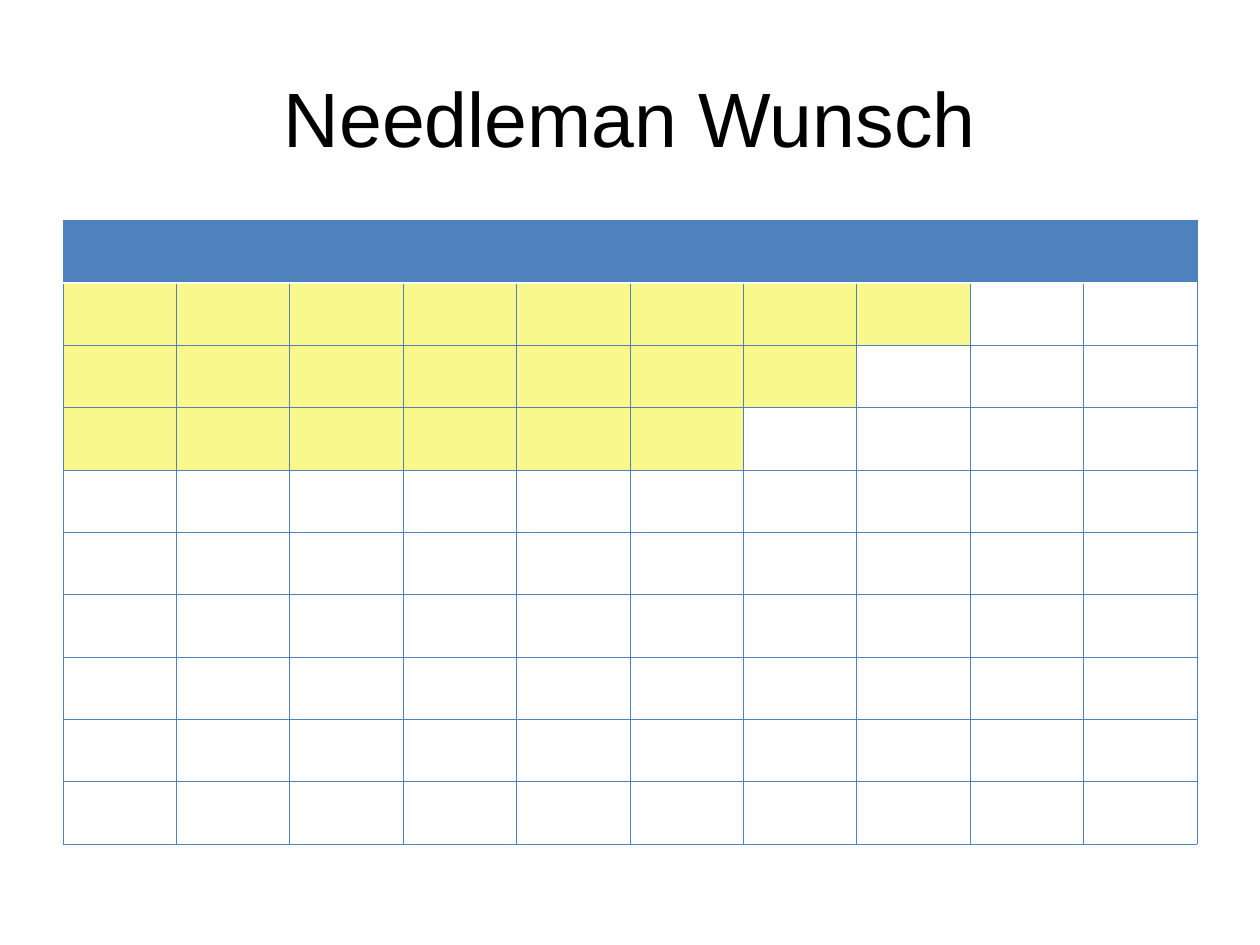
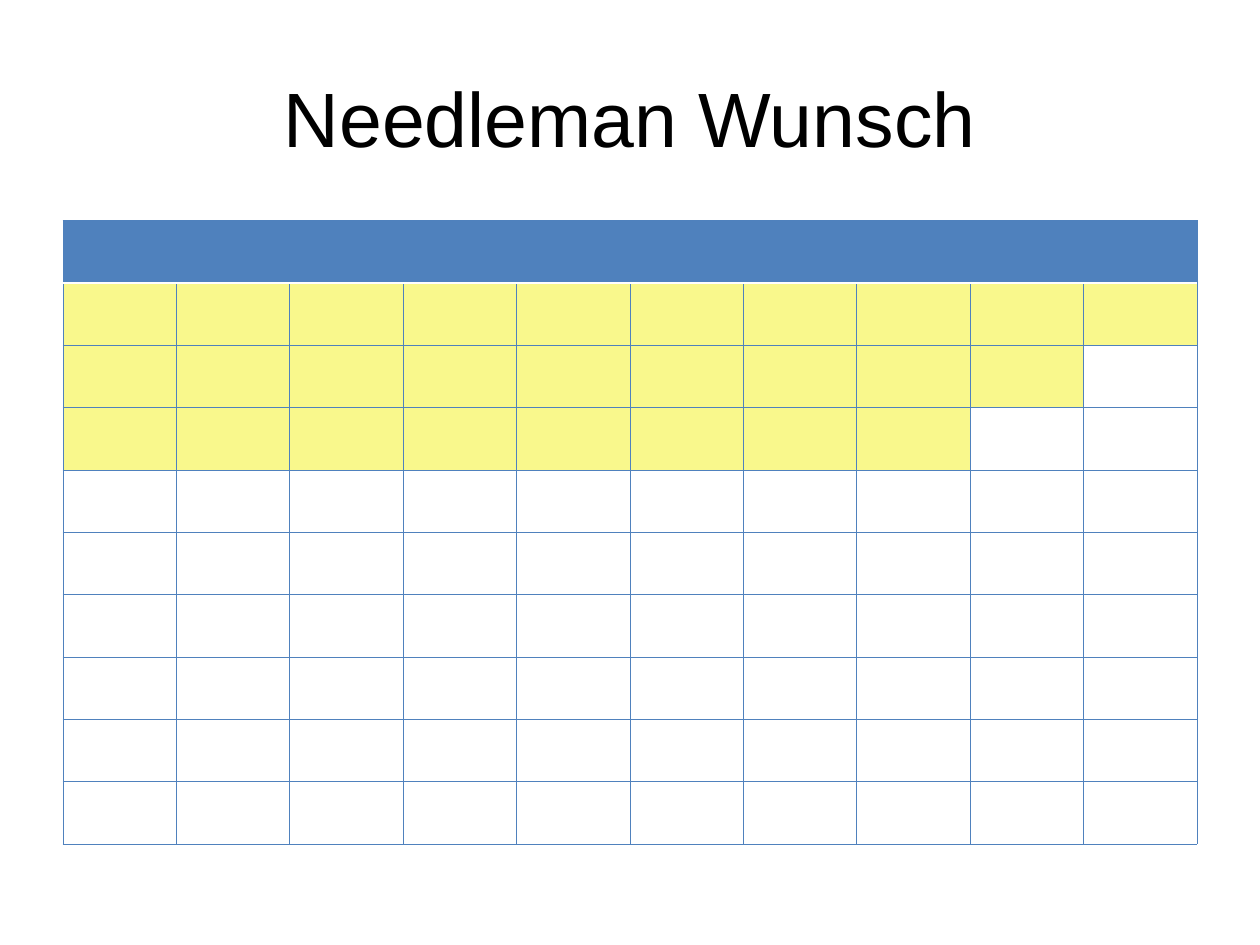
from lxml.etree import SubElement
from pptx import Presentation
from pptx.dml.color import RGBColor
from pptx.enum.text import MSO_ANCHOR, PP_ALIGN
from pptx.oxml.ns import qn
from pptx.util import Inches, Pt

TITLE = "Needleman Wunsch"
FILLED_PER_ROW = [
    {1: 8, 2: 7, 3: 6},
    {1: 10, 2: 9, 3: 8},
]

FONT = "Arial"
BLACK, WHITE, BLUE, YELLOW = "000000", "FFFFFF", "4F81BD", "F9F88C"
THIN, THICK = 0.45, 1.47
ROWS, COLUMNS = 10, 10
LEFT, WIDTH = 0.5, 9
TITLE_TOP, TITLE_HEIGHT = 0.3, 1.25
GRID_TOP, GRID_HEIGHT = 1.75, 4.95


def color(value):
    return RGBColor.from_string(value)


def add_title(page):
    title = page.shapes.title
    title.left, title.top = Inches(LEFT), Inches(TITLE_TOP)
    title.width, title.height = Inches(WIDTH), Inches(TITLE_HEIGHT)
    frame = title.text_frame
    frame.text = TITLE
    frame.word_wrap = True
    frame.vertical_anchor = MSO_ANCHOR.MIDDLE
    para = frame.paragraphs[0]
    para.alignment = PP_ALIGN.CENTER
    font = para.runs[0].font
    font.name, font.size = FONT, Pt(44)
    font.color.rgb = color(BLACK)


def set_borders(cell, row):
    thin, thick = (BLUE, THIN), (WHITE, THICK)
    borders = {
        "a:lnL": thin,
        "a:lnR": thin,
        "a:lnT": thick if row == 1 else thin,
        "a:lnB": thick if row == 0 else thin,
    }
    properties = cell._tc.get_or_add_tcPr()
    for tag, (line_color, points) in borders.items():
        line = SubElement(properties, qn(tag), w=str(Pt(points)))
        fill = SubElement(line, qn("a:solidFill"))
        SubElement(fill, qn("a:srgbClr"), val=line_color)


def set_fill(cell, value):
    if value:
        cell.fill.solid()
        cell.fill.fore_color.rgb = color(value)
    else:
        cell.fill.background()


def add_grid(page, filled):
    table = page.shapes.add_table(
        ROWS, COLUMNS, Inches(LEFT), Inches(GRID_TOP), Inches(WIDTH), Inches(GRID_HEIGHT)
    ).table
    table.horz_banding = False
    for column in table.columns:
        column.width = Inches(WIDTH / COLUMNS)
    for row in range(ROWS):
        table.rows[row].height = Inches(GRID_HEIGHT / ROWS)
        for column in range(COLUMNS):
            cell = table.cell(row, column)
            set_borders(cell, row)
            body_fill = YELLOW if column < filled.get(row, 0) else None
            set_fill(cell, BLUE if row == 0 else body_fill)


def main():
    deck = Presentation()
    deck.slide_width, deck.slide_height = Inches(10), Inches(7.5)
    for filled in FILLED_PER_ROW:
        page = deck.slides.add_slide(deck.slide_layouts[5])
        add_title(page)
        add_grid(page, filled)
    deck.save("out.pptx")


if __name__ == "__main__":
    main()
